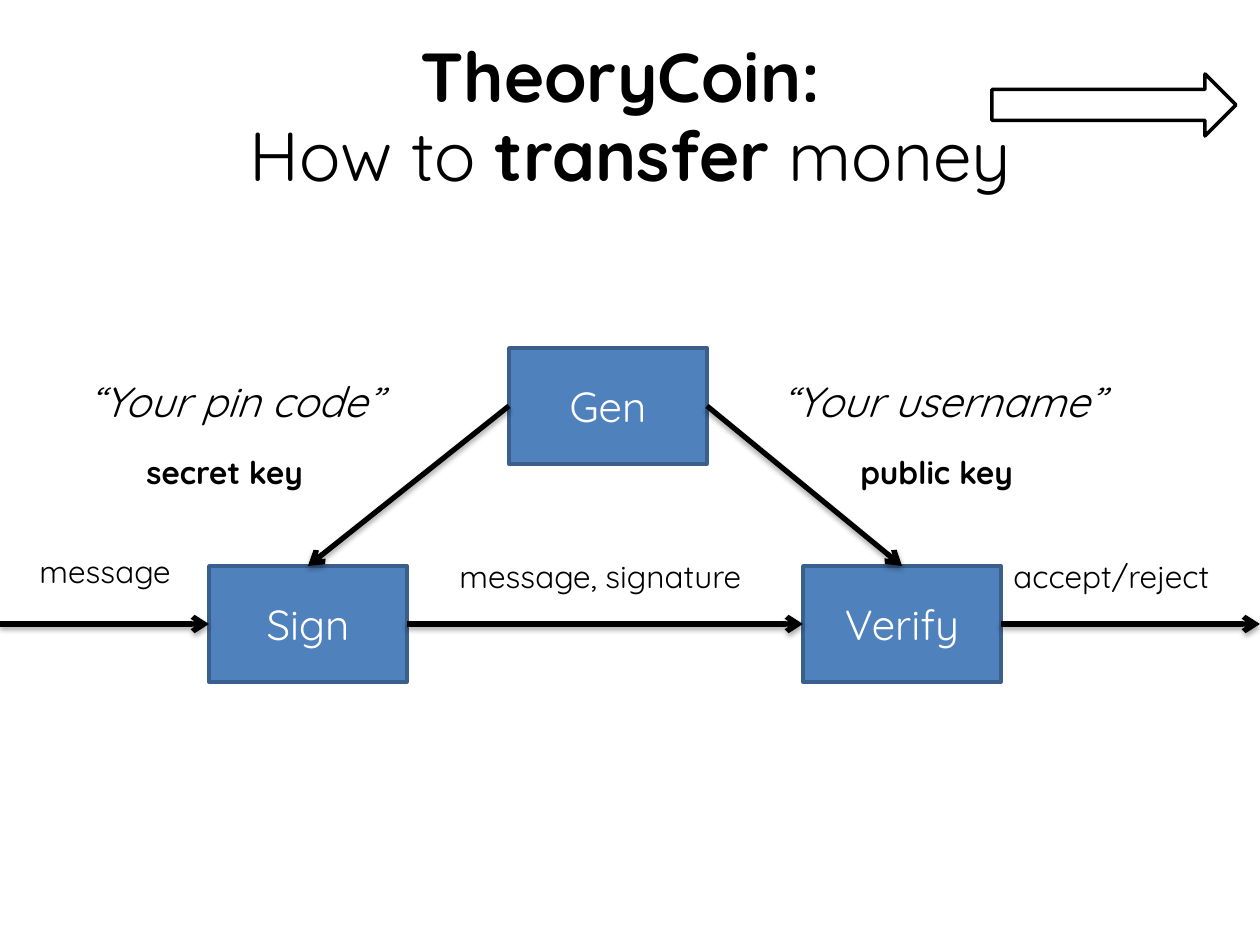
from lxml import etree
from pptx import Presentation
from pptx.dml.color import RGBColor
from pptx.enum.shapes import MSO_CONNECTOR, MSO_SHAPE
from pptx.enum.text import MSO_ANCHOR, PP_ALIGN
from pptx.oxml.ns import qn
from pptx.util import Pt

EMU_PER_PX = 914400 / 126
BLACK = RGBColor(0x00, 0x00, 0x00)
WHITE = RGBColor(0xFF, 0xFF, 0xFF)
BLUE = RGBColor(0x4F, 0x81, 0xBD)
DARK_BLUE = RGBColor(0x3A, 0x5F, 0x8C)
FONT = "Quicksand"
CENTER, MIDDLE = PP_ALIGN.CENTER, MSO_ANCHOR.MIDDLE
RECT, RIGHT_ARROW = MSO_SHAPE.RECTANGLE, MSO_SHAPE.RIGHT_ARROW
STRAIGHT = MSO_CONNECTOR.STRAIGHT
TOP, LEFT, RIGHT = 0, 1, 3
STEP_W, STEP_H = 198, 116


def px(*lengths):
    return [round(length * EMU_PER_PX) for length in lengths]


def add_run(paragraph, text, size, color=BLACK, **formats):
    run = paragraph.add_run()
    run.text = text
    run.font.color.rgb = color
    settings = {"name": FONT, "size": Pt(size), **formats}
    for attribute, value in settings.items():
        setattr(run.font, attribute, value)


def add_outlined(slide, preset, box, fill, outline):
    shape = slide.shapes.add_shape(preset, *px(*box))
    shape.shadow.inherit = False
    shape.fill.solid()
    shape.fill.fore_color.rgb = fill
    shape.line.color.rgb = outline
    shape.line.width = Pt(2)
    return shape


def add_step(slide, left, top, name):
    step = add_outlined(slide, RECT, (left, top, STEP_W, STEP_H), BLUE, DARK_BLUE)
    step.text_frame.vertical_anchor = MIDDLE
    paragraph = step.text_frame.paragraphs[0]
    paragraph.alignment = CENTER
    add_run(paragraph, name, 24, WHITE)
    return step


def add_label(slide, left, top, width, text, size=18, **formats):
    height = 63 if size > 18 else 50
    label = slide.shapes.add_textbox(*px(left, top, width, height))
    label.text_frame.word_wrap = False
    add_run(label.text_frame.paragraphs[0], text, size, **formats)


def add_flow(slide, start, end, source=None, target=None):
    """Draw an arrow; source and target are optional (shape, side) joints."""
    flow = slide.shapes.add_connector(STRAIGHT, *px(*start, *end))
    if source:
        flow.begin_connect(*source)
    if target:
        flow.end_connect(*target)
    flow.line.color.rgb = BLACK
    flow.line.width = Pt(3)
    etree.SubElement(flow.line._get_or_add_ln(), qn("a:tailEnd"), type="arrow")
    effects = etree.SubElement(flow._element.spPr, qn("a:effectLst"))
    shadow = etree.SubElement(effects, qn("a:outerShdw"), blurRad=str(Pt(3.1)),
                              dist=str(Pt(1.8)), dir="5400000", rotWithShape="0")
    shade = etree.SubElement(shadow, qn("a:srgbClr"), val=str(BLACK))
    etree.SubElement(shade, qn("a:alpha"), val="35000")


def add_title(slide, left, top, width, height):
    title = slide.shapes.add_textbox(*px(left, top, width, height)).text_frame
    title.word_wrap = True
    title.vertical_anchor = MIDDLE
    paragraph = title.paragraphs[0]
    paragraph.alignment = CENTER
    paragraph.line_spacing = 0.96
    add_run(paragraph, "TheoryCoin: ", 39.6, bold=True)
    paragraph.add_line_break()
    for text, bold in (("How to ", False), ("transfer ", True), ("money", False)):
        add_run(paragraph, text, 39.6, bold=bold)


def add_signature_scheme(slide, left, top, width):
    """Key generation above a row that signs and verifies a message."""
    row = top + 218
    middle = row + STEP_H // 2
    gen = add_step(slide, left + 509, top, "Gen")
    sign = add_step(slide, left + 209, row, "Sign")
    verify = add_step(slide, left + 803, row, "Verify")

    edge_in, edge_out = (left, middle), (left + width, middle)
    add_flow(slide, edge_in, (left + 209, middle), target=(sign, LEFT))
    add_flow(slide, edge_in, edge_out, (sign, RIGHT), (verify, LEFT))
    add_flow(slide, (left + 1001, middle), edge_out, source=(verify, RIGHT))
    add_flow(slide, edge_in, edge_out, (gen, LEFT), (sign, TOP))
    add_flow(slide, edge_in, edge_out, (gen, RIGHT), (verify, TOP))

    add_label(slide, left + 27, row - 20, 165, "message")
    add_label(slide, left + 447, row - 15, 324, "message, signature")
    add_label(slide, left + 1001, row - 15, 244, "accept/reject")
    for x, w, key in ((134, 186, "secret key"), (848, 189, "public key")):
        add_label(slide, left + x, top + 99, w, key, bold=True)
    for x, w, meaning in ((76, 358, "“Your pin code”"), (769, 375, "“Your username”")):
        add_label(slide, left + x, top + 21, w, meaning, 24, italic=True)


def main():
    deck = Presentation()
    deck.slide_width, deck.slide_height = px(1260, 945)
    slide = deck.slides.add_slide(deck.slide_layouts[6])
    add_title(slide, 63, 39, 1134, 158)
    add_outlined(slide, RIGHT_ARROW, (992, 74, 244, 62), WHITE, BLACK)
    add_signature_scheme(slide, 0, 348, 1260)
    deck.save("out.pptx")


if __name__ == "__main__":
    main()
